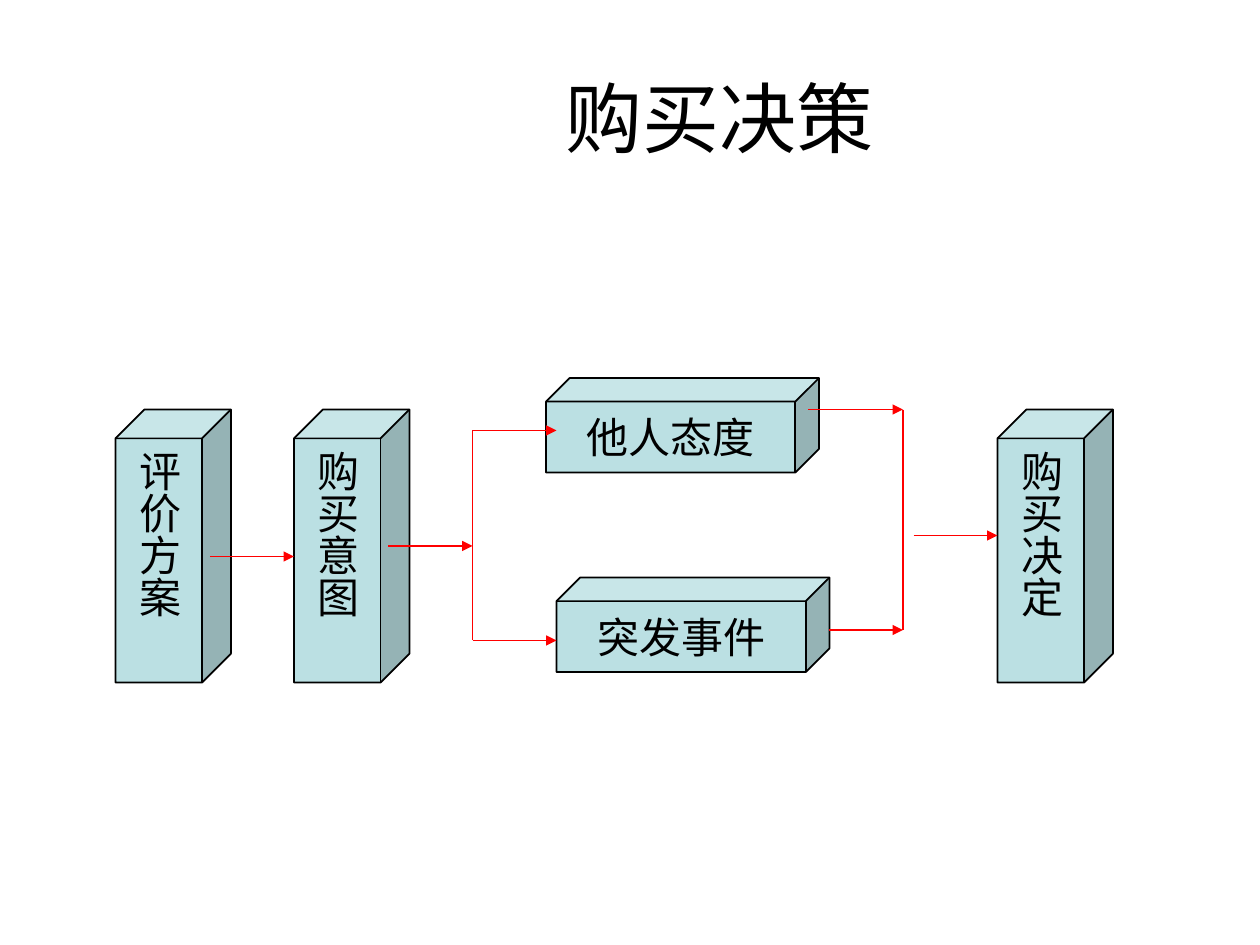
from lxml.etree import SubElement
from pptx import Presentation
from pptx.dml.color import RGBColor
from pptx.enum.shapes import MSO_CONNECTOR, MSO_SHAPE
from pptx.enum.text import MSO_ANCHOR, PP_ALIGN
from pptx.oxml.ns import qn
from pptx.util import Inches, Pt

COLORS = {"text": "000000", "cube": "BBE0E3", "edge": "000000", "flow": "FF0000"}
CELL = Inches(1) // 12  # the grid has 120 columns and 90 rows


def color(name):
    return RGBColor.from_string(COLORS[name])


def grid(*cells):
    return [round(cell * CELL) for cell in cells]


def write(frame, words, size, font):
    frame.text = words
    frame.vertical_anchor = MSO_ANCHOR.MIDDLE
    paragraph = frame.paragraphs[0]
    paragraph.alignment = PP_ALIGN.CENTER
    run_font = paragraph.runs[0].font
    run_font.size = Pt(size)
    run_font.name = font
    run_font.color.rgb = color("text")


def add_title(slide, words):
    title = slide.shapes.add_textbox(*grid(27, 8.6, 83, 5))
    title.text_frame.word_wrap = True
    write(title.text_frame, words, 44, "Arial")


def add_cube(slide, words, column, row, columns, rows):
    cube = slide.shapes.add_shape(MSO_SHAPE.CUBE, *grid(column, row, columns, rows))
    cube.shadow.inherit = False
    cube.fill.solid()
    cube.fill.fore_color.rgb = color("cube")
    cube.line.color.rgb = color("edge")
    cube.line.width = Pt(1)
    frame = cube.text_frame
    frame.word_wrap = False
    write(frame, words, 24, "Times New Roman")
    # Tall cubes carry vertical text, with the insets turned as well
    across, down = Inches(0.1), Inches(0.05)
    if rows > columns:
        across, down = down, across
        frame._txBody.bodyPr.set("vert", "eaVert")
    frame.margin_left = frame.margin_right = across
    frame.margin_top = frame.margin_bottom = down


def add_flow(slide, start, end, arrow=True):
    flow = slide.shapes.add_connector(MSO_CONNECTOR.STRAIGHT, *grid(*start, *end))
    flow.line.color.rgb = color("flow")
    flow.line.width = Pt(1)
    if arrow:
        SubElement(flow.line._get_or_add_ln(), qn("a:tailEnd"), type="triangle")
    SubElement(flow._element.spPr, qn("a:effectLst"))


def main():
    deck = Presentation()
    deck.slide_width, deck.slide_height = grid(120, 90)
    slide = deck.slides.add_slide(deck.slide_layouts[6])

    add_title(slide, "购买决策")

    # Stages
    for stage, column in (("评价方案", 11), ("购买意图", 28), ("购买决定", 95)):
        add_cube(slide, stage, column, 39, 11, 26)

    # Influences between intention and decision
    for influence, column, row in (("他人态度", 52, 36), ("突发事件", 53, 55)):
        add_cube(slide, influence, column, row, 26, 9)

    # Split and merge bars
    split, merge = 45, 86
    add_flow(slide, (split, 41), (split, 61), arrow=False)
    add_flow(slide, (merge, 39), (merge, 60), arrow=False)

    # Horizontal arrows: row, first column, last column
    for row, first, last in (
        (53, 20, 28),
        (52, 37, split),
        (41, split, 53),
        (61, split, 53),
        (39, 77, merge),
        (60, 79, merge),
        (51, 87, 95),
    ):
        add_flow(slide, (first, row), (last, row))

    deck.save("out.pptx")


if __name__ == "__main__":
    main()
